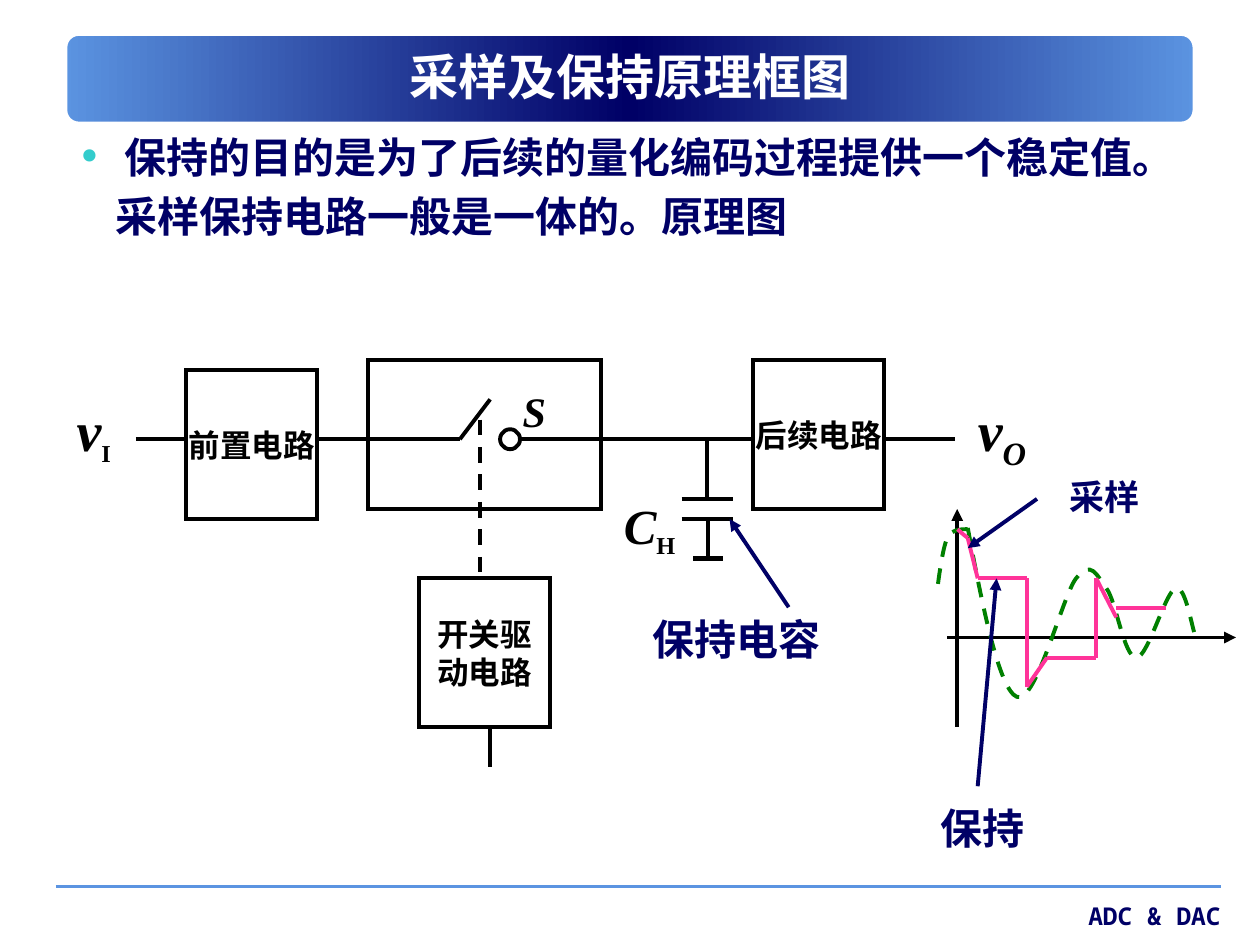
import copy
import pptx
import pptx.util
from pptx.dml.color import RGBColor
from pptx.enum.dml import MSO_LINE
from pptx.enum.shapes import MSO_CONNECTOR, MSO_SHAPE
from pptx.enum.text import MSO_ANCHOR, PP_ALIGN
from pptx.oxml.ns import qn
from pptx.oxml.xmlchemy import OxmlElement

Pt = pptx.util.Pt

THEME = {
    "navy": "000066", "blue": "5B94E1", "teal": "33CCCC", "white": "FFFFFF",
    "black": "000000", "green": "008000", "pink": "FF3399",
    "sans": "DejaVu Sans", "serif": "Times New Roman", "mono": "Noto Sans Mono",
    "title": 28, "body": 24, "box": 18, "footer": 14, "line": 2.25,
}

# Content
TITLE = "采样及保持原理框图"
BODY = ["保持的目的是为了后续的量化编码过程提供一个稳定值。", "采样保持电路一般是一体的。原理图"]
FOOTER = "ADC & DAC"

# Blocks: text, left, top, width; all share one height
BOX_W, BOX_H = 74.9, 85
BOXES = [
    ("前置电路", 106.4, 211.7, BOX_W),
    ("", 210.2, 205.7, 133.2),
    ("开关驱\v动电路", 239.5, 330.5, BOX_W),
    ("后续电路", 430.4, 205.7, BOX_W),
]

# Circuit wires: x1, y1, x2, y2
WIRE_Y = 251
WIRES = [
    (77.6, WIRE_Y, 106.4, WIRE_Y),
    (181.4, WIRE_Y, 262.8, WIRE_Y),
    (297.4, WIRE_Y, 373, WIRE_Y),
    (373, WIRE_Y, 430.4, WIRE_Y),
    (505.4, WIRE_Y, 545.8, WIRE_Y),
    (262.8, WIRE_Y, 280.1, 228.2),      # switch arm
    (280.1, 415.4, 280.1, 438.5),       # driver input
    (403.8, WIRE_Y, 403.8, 285),        # capacitor
    (389.5, 285, 419, 285),
    (389.5, 296.4, 419, 296.4),
    (404.8, 296.4, 404.8, 319),
]
GROUND = (396, 319, 413.3, 319)
SWITCH_CONTROL = (274.1, 239.8, 274.1, 330.5)
CONTACT_X, CONTACT_D = 285.8, 11.4

# Waveform
AXES = [(547, 415.4, 547, 290.9), (541.4, 364.3, 706.3, 364.3)]
SIGNALS = [  # start point, then three points for each cubic segment
    [(553, 301.7), (561.6, 347.8), (571, 393.8), (581, 398.2),
     (591.8, 403.2), (607, 340.6), (614.9, 330.5),
     (623.5, 319.7), (626.4, 328.3), (632.2, 336.2),
     (637.9, 343.4), (642.2, 375.8), (649.4, 375.8),
     (655.9, 375.8), (666, 337.7), (671.8, 336.2),
     (677.5, 334.1), (681.1, 359.3), (683.3, 364.3)],
    [(553, 302.4), (548.6, 302.4), (544.3, 302.4), (541.4, 307.4),
     (538.6, 313.2), (536.4, 331.2), (535.7, 336.2)],
]
HELD_START = [(553, 307.4), (550.1, 305.3), (547.9, 303.1), (547.2, 302.4)]
HELD = [
    (586.8, 392.4, 586.8, 330.5), (598.3, 375.8, 626.4, 375.8),
    (586.8, 392.4, 598.3, 375.8), (626.4, 375.8, 626.4, 330.5),
    (666, 347.4, 637.9, 347.4), (626.4, 330.5, 637.9, 352.8),
    (586.8, 330.5, 558.7, 330.5), (553, 307.4, 558.7, 330.5),
]
POINTERS = [(450.7, 347, 416.9, 296.6), (592.6, 285.1, 553, 313.2),
            (558.7, 449.3, 569.5, 330.5)]

# Symbols: letter, size, subscript, its size, its italic, left, top, width, height
SYMBOLS = [
    ("v", 32, "I", 24, False, 36.7, 222.5, 57.6, 45.4),
    ("S", 24, "", 24, False, 291.6, 216.7, 34.6, 36),
    ("C", 28, "H", 24, False, 349.4, 279.4, 57.6, 41),
    ("v", 32, "O", 32, True, 551.7, 222.5, 46.1, 45.4),
]
# Captions: text, size, left, top, width, height
CAPTIONS = [
    ("保持电容", 24, 365.8, 347.3, 130.3, 36),
    ("采样", 20, 603.8, 268, 56.9, 31),
    ("保持", 24, 530.2, 455, 67.7, 36),
]

prs = pptx.Presentation()
prs.slide_width, prs.slide_height = Pt(720), Pt(540)
s = prs.slides.add_slide(prs.slide_layouts[5])


def rgb(name):
    return RGBColor.from_string(THEME[name])


def style(r, size, color, face="serif", italic=False):
    r.font.size, r.font.bold, r.font.italic = Pt(size), True, italic
    r.font.name, r.font.color.rgb = THEME[face], rgb(color)


def outline(line, color="black", width=THEME["line"], dash=False):
    line.color.rgb, line.width = rgb(color), Pt(width)
    if dash:
        line.dash_style = MSO_LINE.DASH


def wire(ends, color="black", width=THEME["line"], dash=False, arrow=False):
    c = s.shapes.add_connector(MSO_CONNECTOR.STRAIGHT, *map(Pt, ends))
    outline(c.line, color, width, dash)
    sp_pr = c._element.spPr
    if arrow:
        tail = OxmlElement("a:tailEnd")
        tail.set("type", "triangle")
        sp_pr.find(qn("a:ln")).append(tail)
    sp_pr.append(OxmlElement("a:effectLst"))


def shape(kind, *place):
    sp = s.shapes.add_shape(kind, *map(Pt, place))
    sp.shadow.inherit = False
    sp.fill.background()
    outline(sp.line)
    if kind == MSO_SHAPE.RECTANGLE:
        sp._element.spPr.find(qn("a:ln")).append(OxmlElement("a:miter"))
    return sp


def text_box(*place):
    tf = s.shapes.add_textbox(*map(Pt, place)).text_frame
    tf.word_wrap = True
    return tf


def curve(points, color, dash=False):
    grid = [(round(x * 100), round(y * 100)) for x, y in points]
    fb = s.shapes.build_freeform(*grid[0], scale=Pt(1) / 100)
    fb.add_line_segments(grid[1:], close=False)
    sp = fb.convert_to_shape()
    sp.shadow.inherit = False
    sp.fill.background()
    outline(sp.line, color, dash=dash)
    # Turn every three line segments into one cubic segment
    lines = list(sp._element.iter(qn("a:lnTo")))
    for i in range(0, len(lines), 3):
        cubic = OxmlElement("a:cubicBezTo")
        lines[i].addprevious(cubic)
        for line in lines[i:i + 3]:
            cubic.append(line[0])
            line.getparent().remove(line)


# Title band
band = shape(MSO_SHAPE.ROUNDED_RECTANGLE, 36, 18, 648, 54)
outline(band.line, "white", 5)
band.fill.gradient()
band.fill.gradient_angle = 0
stops = band._element.spPr.find(qn("a:gradFill")).find(qn("a:gsLst"))
stops.insert(1, copy.deepcopy(stops[0]))
for stop, color, place in zip(band.fill.gradient_stops, ("blue", "navy", "blue"), (0, 0.5, 1)):
    stop.color.rgb, stop.position = rgb(color), place

# Title, in front of its band
title = s.shapes.title
title._element.getparent().append(title._element)
title.left, title.top, title.width, title.height = map(Pt, (36, 15.1, 648, 56.9))
tf = title.text_frame
tf.text, tf.vertical_anchor = TITLE, MSO_ANCHOR.MIDDLE
tf.paragraphs[0].alignment = PP_ALIGN.CENTER
style(tf.paragraphs[0].runs[0], THEME["title"], "white", "sans")

# Footer
wire((31.9, 506.7, 697.7, 506.7), "blue", 2)
tf = text_box(534.2, 511.2, 170.6, 23.8)
tf.text = FOOTER
tf.paragraphs[0].alignment = PP_ALIGN.RIGHT
style(tf.paragraphs[0].runs[0], THEME["footer"], "navy", "mono")

# Body text
tf = text_box(37, 71.7, 648, 433.4)
tf.text = "\n".join(BODY)
for p, margin, indent in zip(tf.paragraphs, (27, 22), (-27, 0)):
    p.space_before = Pt(4.8)
    style(p.runs[0], THEME["body"], "navy", "sans")
    p_pr = p._p.get_or_add_pPr()
    p_pr.set("marL", str(Pt(margin)))
    p_pr.set("indent", str(Pt(indent)))
bullet_color, bullet_rgb, bullet_font, bullet = map(
    OxmlElement, ("a:buClr", "a:srgbClr", "a:buFont", "a:buChar"))
bullet_rgb.set("val", THEME["teal"])
bullet_color.append(bullet_rgb)
bullet_font.set("typeface", THEME["sans"])
bullet.set("char", "•")
tf.paragraphs[0]._p.pPr.extend([bullet_color, bullet_font, bullet])

# Circuit
for text, left, top, width in BOXES:
    tf = shape(MSO_SHAPE.RECTANGLE, left, top, width, BOX_H).text_frame
    if text:
        tf.text, tf.word_wrap, tf.vertical_anchor = text, False, MSO_ANCHOR.MIDDLE
        tf.paragraphs[0].alignment = PP_ALIGN.CENTER
        for r in tf.paragraphs[0].runs:
            style(r, THEME["box"], "black")
for ends in WIRES:
    wire(ends)
wire(GROUND, width=3)
wire(SWITCH_CONTROL, dash=True)
shape(MSO_SHAPE.OVAL, CONTACT_X, WIRE_Y - CONTACT_D / 2, CONTACT_D, CONTACT_D)

# Waveform
for ends in AXES:
    wire(ends, arrow=True)
for points in SIGNALS:
    curve(points, "green", dash=True)
for ends in HELD:
    wire(ends, "pink")
curve(HELD_START, "pink")

# Labels and pointers
for letter, size, sub, sub_size, sub_italic, *place in SYMBOLS:
    p = text_box(*place).paragraphs[0]
    p.text = letter
    style(p.runs[0], size, "black", italic=True)
    if sub:
        r = p.add_run()
        r.text = sub
        style(r, sub_size, "black", italic=sub_italic)
        r.font._element.set("baseline", "-25000")
for text, size, *place in CAPTIONS:
    tf = text_box(*place)
    tf.text = text
    style(tf.paragraphs[0].runs[0], size, "navy")
for ends in POINTERS:
    wire(ends, "navy", arrow=True)

prs.save("out.pptx")
